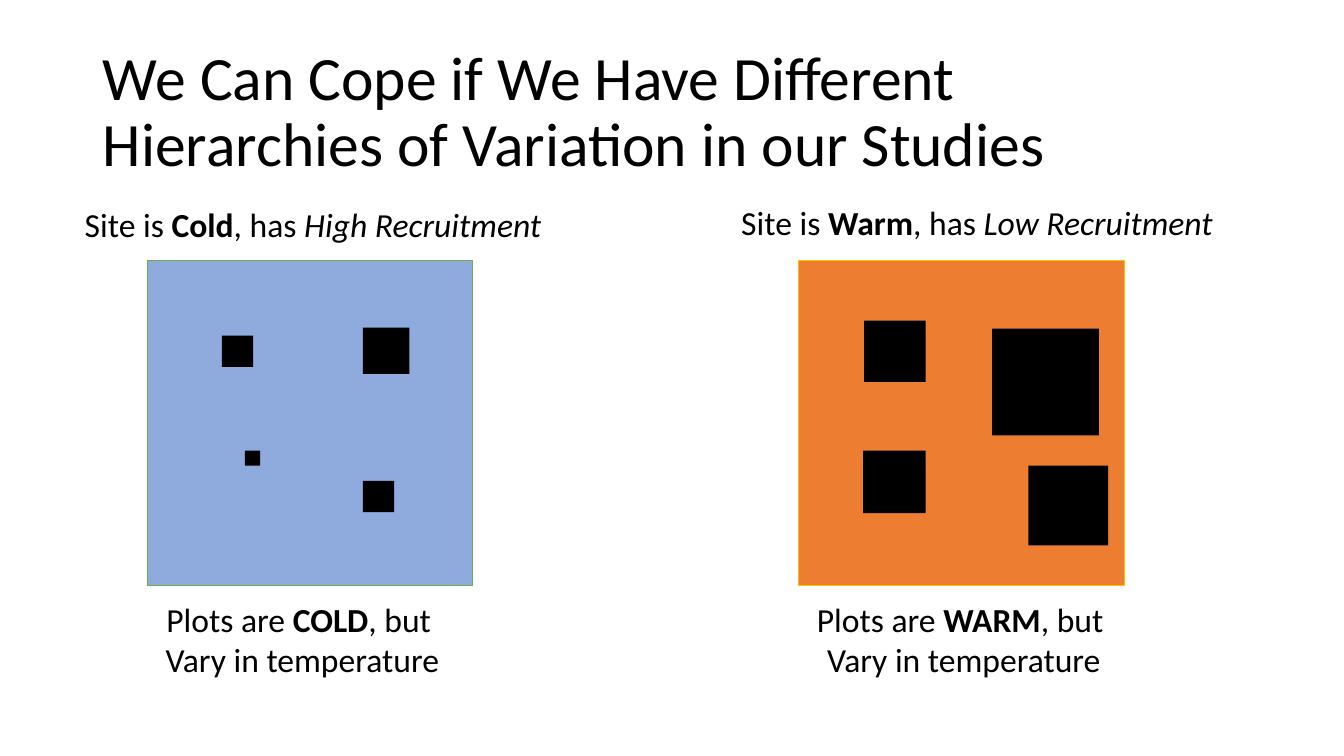
"""Build a slide comparing plots within a cold site and a warm site."""
import pptx
import pptx.util
import pptx.dml.color
import pptx.enum.shapes
import pptx.enum.text

Inches, Pt = pptx.util.Inches, pptx.util.Pt
RGBColor = pptx.dml.color.RGBColor
PP_ALIGN, MSO_ANCHOR = pptx.enum.text.PP_ALIGN, pptx.enum.text.MSO_ANCHOR

BLACK = RGBColor(0, 0, 0)
BLUE, GREEN = RGBColor(0x8F, 0xAA, 0xDC), RGBColor(0x70, 0xAD, 0x47)
ORANGE, GOLD = RGBColor(0xED, 0x7D, 0x31), RGBColor(0xFF, 0xC0, 0x00)
PLAIN, BOLD, ITALIC = {}, {"bold": True}, {"italic": True}

TITLE = "We Can Cope if We Have Different Hierarchies of Variation in our Studies"
TITLE_BOX = (0.92, 0.4, 11.5, 1.45)
SITE_TOP, SITE_SIDE = 2.58, 3.23
VARIATION = [("Vary in temperature", PLAIN)]

SITES = [
    {
        "left": 1.46, "fill": BLUE, "line": GREEN,
        "heading": [[("Site is ", PLAIN), ("Cold", BOLD), (", has ", PLAIN),
                     ("High Recruitment", ITALIC)]],
        "heading_box": (0.72, 1.97, 4.77, 0.5),
        "caption": [[("Plots are ", PLAIN), ("COLD", BOLD), (", but ", PLAIN)], VARIATION],
        "caption_box": (1.53, 5.89, 2.94, 0.91),
        "plots": [(0.74, 0.75, 0.31), (2.14, 0.67, 0.46),
                  (2.14, 2.19, 0.31), (0.97, 1.89, 0.15)],
    },
    {
        "left": 7.92, "fill": ORANGE, "line": GOLD,
        "heading": [[("Site is ", PLAIN), ("Warm", BOLD), (", has ", PLAIN),
                     ("Low Recruitment", ITALIC)]],
        "heading_box": (7.23, 1.95, 4.92, 0.5),
        "caption": [[("Plots are ", PLAIN), ("WARM", BOLD), (", but ", PLAIN)], VARIATION],
        "caption_box": (7.99, 5.89, 3.14, 0.91),
        "plots": [(0.65, 0.6, 0.61), (1.92, 0.68, 1.06),
                  (2.28, 2.04, 0.79), (0.64, 1.89, 0.62)],
    },
]


def style_font(font, size, **formats):
    font.color.rgb = BLACK
    for name, value in {"name": "Calibri", "size": Pt(size), **formats}.items():
        setattr(font, name, value)


def add_square(slide, left, top, side, fill, line=None):
    sp = slide.shapes.add_shape(pptx.enum.shapes.MSO_SHAPE.RECTANGLE,
                                *map(Inches, (left, top, side, side)))
    sp.shadow.inherit = False
    sp.fill.solid()
    sp.fill.fore_color.rgb = fill
    if line is None:
        sp.line.fill.background()
    else:
        sp.line.color.rgb = line
        sp.line.width = Pt(0.5)


def add_label(slide, box, paragraphs):
    tf = slide.shapes.add_textbox(*map(Inches, box)).text_frame
    tf.word_wrap = False
    tf.auto_size = pptx.enum.text.MSO_AUTO_SIZE.SHAPE_TO_FIT_TEXT
    for i, runs in enumerate(paragraphs):
        p = tf.add_paragraph() if i else tf.paragraphs[0]
        p.alignment = PP_ALIGN.CENTER
        for text, formats in runs:
            r = p.add_run()
            r.text = text
            style_font(r.font, 24, **formats)


def add_title(slide):
    sp = slide.shapes.title
    for name, value in zip(("left", "top", "width", "height"), TITLE_BOX):
        setattr(sp, name, Inches(value))
    tf = sp.text_frame
    tf.text = TITLE
    tf.word_wrap = True
    tf.vertical_anchor = MSO_ANCHOR.MIDDLE
    p = tf.paragraphs[0]
    p.alignment = PP_ALIGN.LEFT
    p.line_spacing = 0.9
    style_font(p.runs[0].font, 44)


def main():
    prs = pptx.Presentation()
    prs.slide_width, prs.slide_height = Inches(13.33), Inches(7.5)
    slide = prs.slides.add_slide(prs.slide_layouts.get_by_name("Title Only"))
    add_title(slide)
    for site in SITES:
        add_square(slide, site["left"], SITE_TOP, SITE_SIDE, site["fill"], site["line"])
        for part in ("caption", "heading"):
            add_label(slide, site[part + "_box"], site[part])
        for dx, dy, side in site["plots"]:
            add_square(slide, site["left"] + dx, SITE_TOP + dy, side, BLACK)
    prs.save("out.pptx")


if __name__ == "__main__":
    main()
